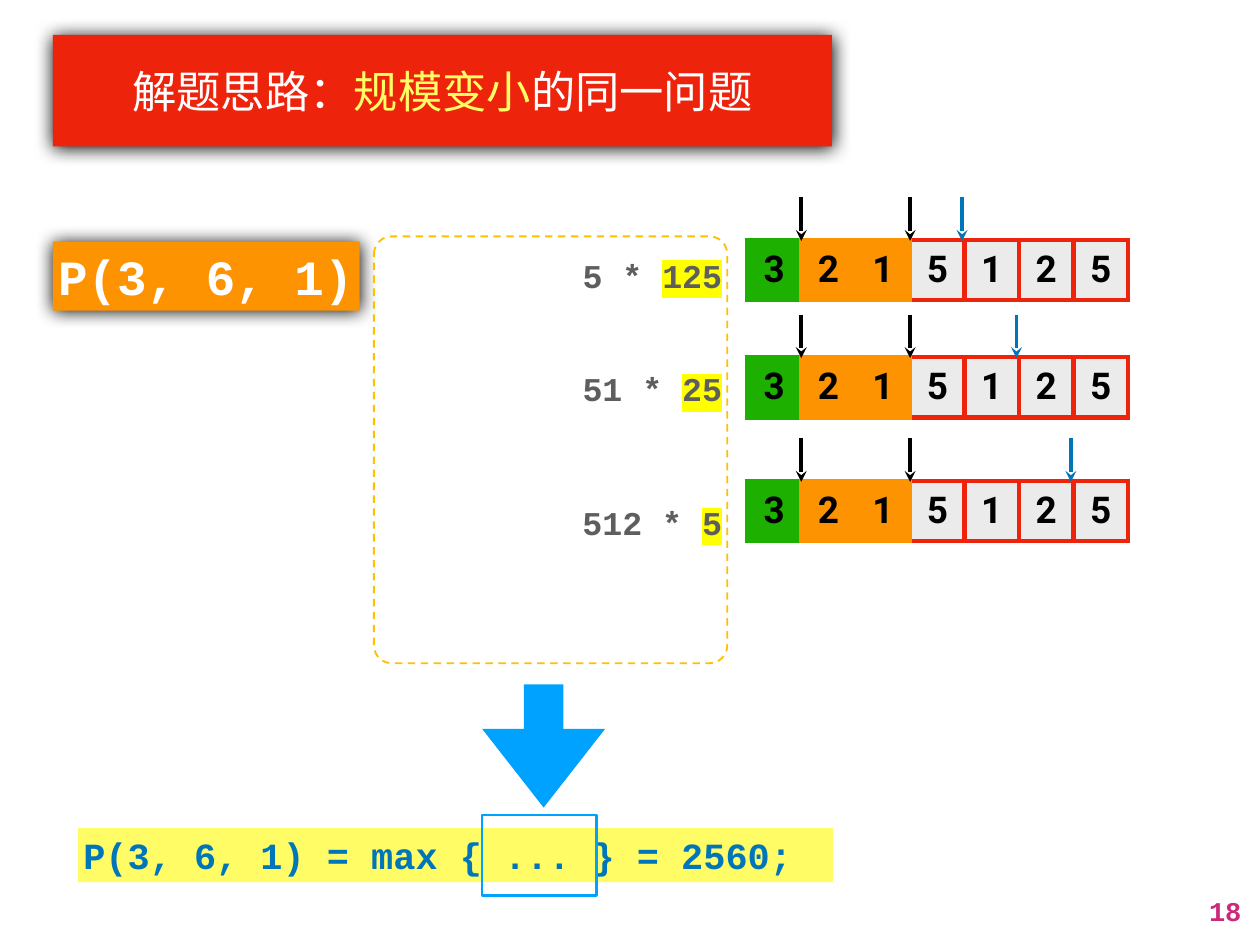
import dataclasses

import lxml.etree
import pptx
import pptx.dml.color
import pptx.enum.dml
import pptx.enum.shapes
import pptx.enum.text
import pptx.oxml.ns
import pptx.util

Cm = pptx.util.Cm
Pt = pptx.util.Pt
SHAPE = pptx.enum.shapes.MSO_SHAPE
ALIGN = pptx.enum.text.PP_ALIGN
ANCHOR = pptx.enum.text.MSO_ANCHOR


@dataclasses.dataclass(frozen=True)
class Theme:
    """Colours, fonts and type sizes of the slide."""
    white: str = "FFFFFF"
    black: str = "000000"
    red: str = "EE230C"
    orange: str = "FE9301"
    green: str = "1EB001"
    pale: str = "EBEBEB"
    lemon: str = "FFFC66"
    marker: str = "FFFF00"
    grey: str = "5E5E5E"
    blue: str = "0076BA"
    sky: str = "00A2FF"
    gold: str = "FFC000"
    pink: str = "CB2A7A"
    mono: str = "Courier New"
    sans: str = "Roboto"
    title_size: int = 36
    problem_size: int = 40
    formula_size: int = 30
    digit_size: int = 30
    product_size: int = 27
    number_size: int = 22


def rgb(colour):
    return pptx.dml.color.RGBColor.from_string(colour)


def apply(target, formats):
    for attribute, value in formats.items():
        setattr(target, attribute, value)


def child(parent, tag, **attributes):
    return lxml.etree.SubElement(parent, pptx.oxml.ns.qn(tag), attributes)


class SlideBuilder:
    """Draws styled elements on the current slide."""

    def __init__(self, slide, theme):
        self.slide = slide
        self.theme = theme

    def typeset(self, frame, runs, size, font, bold=True, align=ALIGN.LEFT,
                anchor=ANCHOR.MIDDLE, spacing=None, wrap=True):
        margins = dict.fromkeys(("margin_left", "margin_right", "margin_top", "margin_bottom"), Cm(0.15))
        apply(frame, {**margins, "word_wrap": wrap, "vertical_anchor": anchor})
        paragraph = frame.paragraphs[0]
        apply(paragraph, {"alignment": align, "line_spacing": spacing})
        for text, colour, *highlight in runs:
            run = paragraph.add_run()
            run.text = text
            apply(run.font, {"size": Pt(size), "name": font, "bold": bold})
            run.font.color.rgb = rgb(colour)
            for marker in highlight:
                fill = run.font._element.find(pptx.oxml.ns.qn("a:solidFill"))
                mark = lxml.etree.Element(pptx.oxml.ns.qn("a:highlight"))
                child(mark, "a:srgbClr", val=marker)
                fill.addnext(mark)

    def label(self, box, runs, size, font, **formats):
        caption = self.slide.shapes.add_textbox(*map(Cm, box))
        self.typeset(caption.text_frame, runs, size, font, **formats)

    def shape(self, kind, box, fill=None, line=None, width=1, dash=None, adjustments=(), glow=False):
        figure = self.slide.shapes.add_shape(kind, *map(Cm, box))
        for index, value in enumerate(adjustments):
            figure.adjustments[index] = value
        for paint, colour in ((figure.fill, fill), (figure.line.fill, line)):
            if colour:
                paint.solid()
                paint.fore_color.rgb = rgb(colour)
            else:
                paint.background()
        if line:
            apply(figure.line, {"width": Pt(width), "dash_style": dash})
        figure.shadow.inherit = False
        if glow:
            effects = figure._element.spPr.find(pptx.oxml.ns.qn("a:effectLst"))
            shadow = child(effects, "a:outerShdw", blurRad=str(Pt(15)), dist=str(Pt(0.7)),
                           dir="5400000", rotWithShape="0")
            child(shadow, "a:srgbClr", val=self.theme.black)
        return figure

    def panel(self, box, fill, runs, size, font, glow=False, **formats):
        figure = self.shape(SHAPE.RECTANGLE, box, fill=fill, glow=glow)
        self.typeset(figure.text_frame, runs, size, font, **formats)

    def pointer(self, x, top, bottom, colour):
        arrow = self.slide.shapes.add_connector(
            pptx.enum.shapes.MSO_CONNECTOR.STRAIGHT, Cm(x), Cm(top), Cm(x), Cm(bottom))
        arrow.line.color.rgb = rgb(colour)
        arrow.line.width = Pt(3)
        child(arrow.line._get_or_add_ln(), "a:tailEnd", type="stealth")
        child(arrow._element.spPr, "a:effectLst")

    def digit_row(self, left, top, column, height, digits, fills, edges, rims):
        count = len(digits)
        table = self.slide.shapes.add_table(
            1, count, Cm(left), Cm(top), Cm(column * count), Cm(height)).table
        apply(table, {"first_row": False, "horz_banding": False})
        for index, digit in enumerate(digits):
            table.columns[index].width = Cm(column)
            cell = table.cell(0, index)
            self.typeset(cell.text_frame, [(digit, self.theme.black)], self.theme.digit_size,
                         self.theme.sans, align=ALIGN.CENTER)
            margins = ("margin_left", "margin_right", "margin_top", "margin_bottom")
            apply(cell, {**dict.fromkeys(margins, Cm(0.15)), "vertical_anchor": ANCHOR.MIDDLE})
            borders = {"a:lnL": edges[index], "a:lnR": edges[index + 1],
                       "a:lnT": rims[index], "a:lnB": rims[index]}
            for side, colour in borders.items():
                border = child(cell._tc.get_or_add_tcPr(), side, w=str(Pt(4)))
                child(child(border, "a:solidFill"), "a:srgbClr", val=colour)
            cell.fill.solid()
            cell.fill.fore_color.rgb = rgb(fills[index])


def main():
    theme = Theme()
    deck = pptx.Presentation()
    apply(deck, {"slide_width": Cm(36.12), "slide_height": Cm(27.1)})
    page = SlideBuilder(deck.slides.add_slide(deck.slide_layouts[6]), theme)

    page.label((34.42, 25.5, 1.32, 1.27), [("18", theme.pink)], theme.number_size, theme.mono,
               align=ALIGN.RIGHT, anchor=ANCHOR.TOP, wrap=False)
    title = [("解题思路：", theme.white), ("规模变小", theme.lemon), ("的同一问题", theme.white)]
    page.panel((1.52, 1, 22.33, 3.2), theme.red, title, theme.title_size, theme.sans,
               glow=True, bold=False, align=ALIGN.CENTER)
    page.panel((1.52, 6.93, 8.79, 1.98), theme.orange, [("P(3, 6, 1)", theme.white)],
               theme.problem_size, theme.mono, glow=True, wrap=False)

    digits = "3215125"
    fills = [theme.green] + [theme.orange] * 2 + [theme.pale] * 4
    rims = [theme.green] + [theme.orange] * 2 + [theme.red] * 4
    edges = [theme.green] + [theme.orange] * 3 + [theme.red] * 4
    left, column, height = 21.41, 1.56, 1.73
    splits = (
        ("5", "125", 6.93, 6.88),
        ("51", "25", 10.19, 10.24),
        ("512", "5", 14.02, 13.79),
    )
    for head, rest, product_top, row_top in splits:
        page.label((10.31, product_top, 10.54, 1.6),
                   [(f"{head} * ", theme.grey), (rest, theme.grey, theme.marker)],
                   theme.product_size, theme.mono, align=ALIGN.RIGHT, anchor=ANCHOR.TOP, spacing=1.2)
        page.digit_row(left, row_top, column, height, digits, fills, edges, rims)
        cut = left + (3 + len(head)) * column - 0.07
        for x, colour in ((left + column, theme.black), (left + 3 * column, theme.black), (cut, theme.blue)):
            page.pointer(x, row_top - 1.22, row_top + 0.03, colour)

    page.shape(SHAPE.DOWN_ARROW, (13.82, 19.63, 3.53, 3.53), fill=theme.sky, adjustments=(0.32, 0.64))
    page.panel((2.24, 23.75, 21.64, 1.55), theme.lemon,
               [("P(3, 6, 1) = max { ... } = 2560;", theme.blue)], theme.formula_size, theme.mono)
    page.shape(SHAPE.RECTANGLE, (13.82, 23.37, 3.28, 2.31), line=theme.sky, width=2.25)
    page.shape(SHAPE.ROUNDED_RECTANGLE, (10.72, 6.78, 10.13, 12.24), line=theme.gold, width=1.5,
               dash=pptx.enum.dml.MSO_LINE.DASH, adjustments=(0.05,))
    deck.save("out.pptx")


if __name__ == "__main__":
    main()
